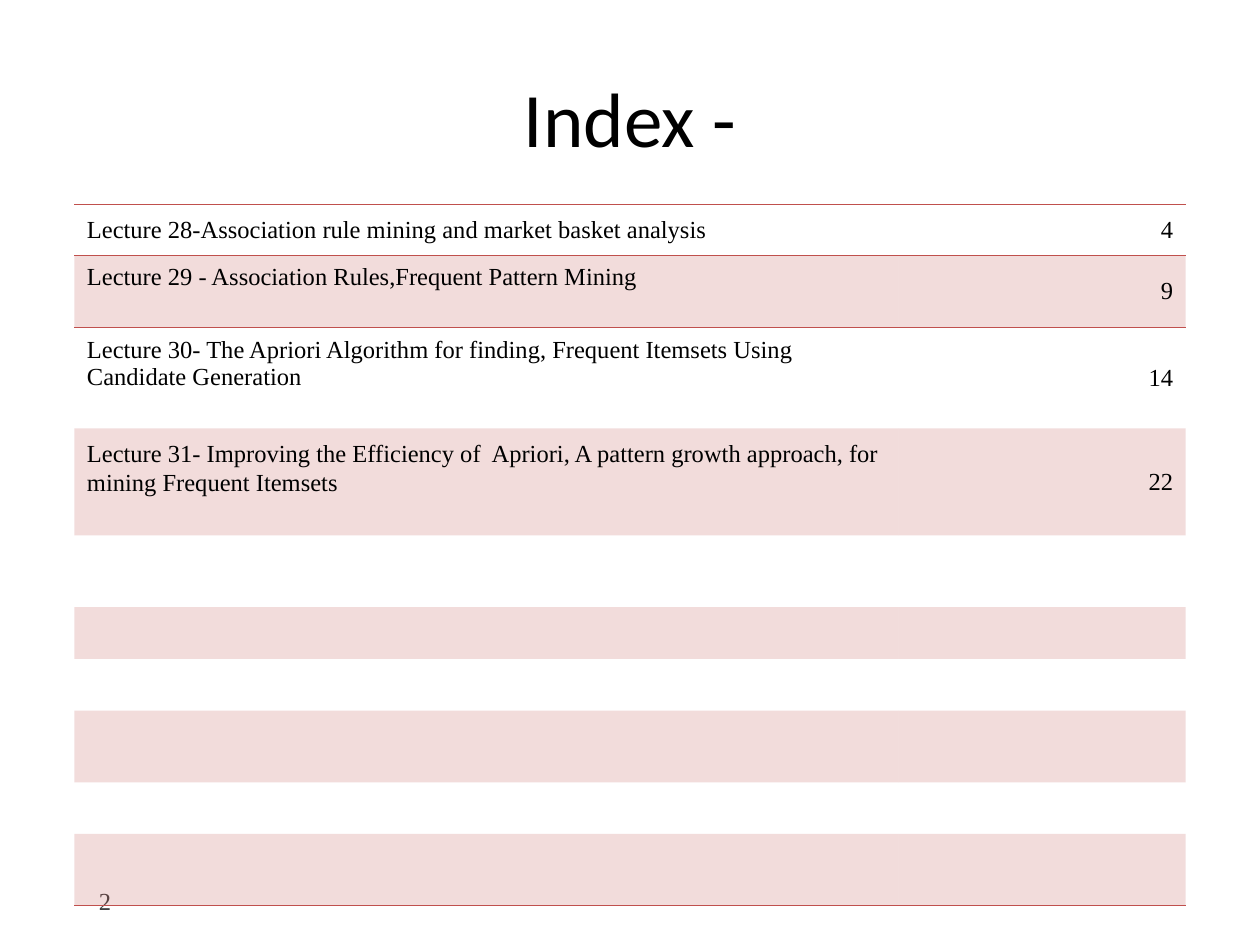
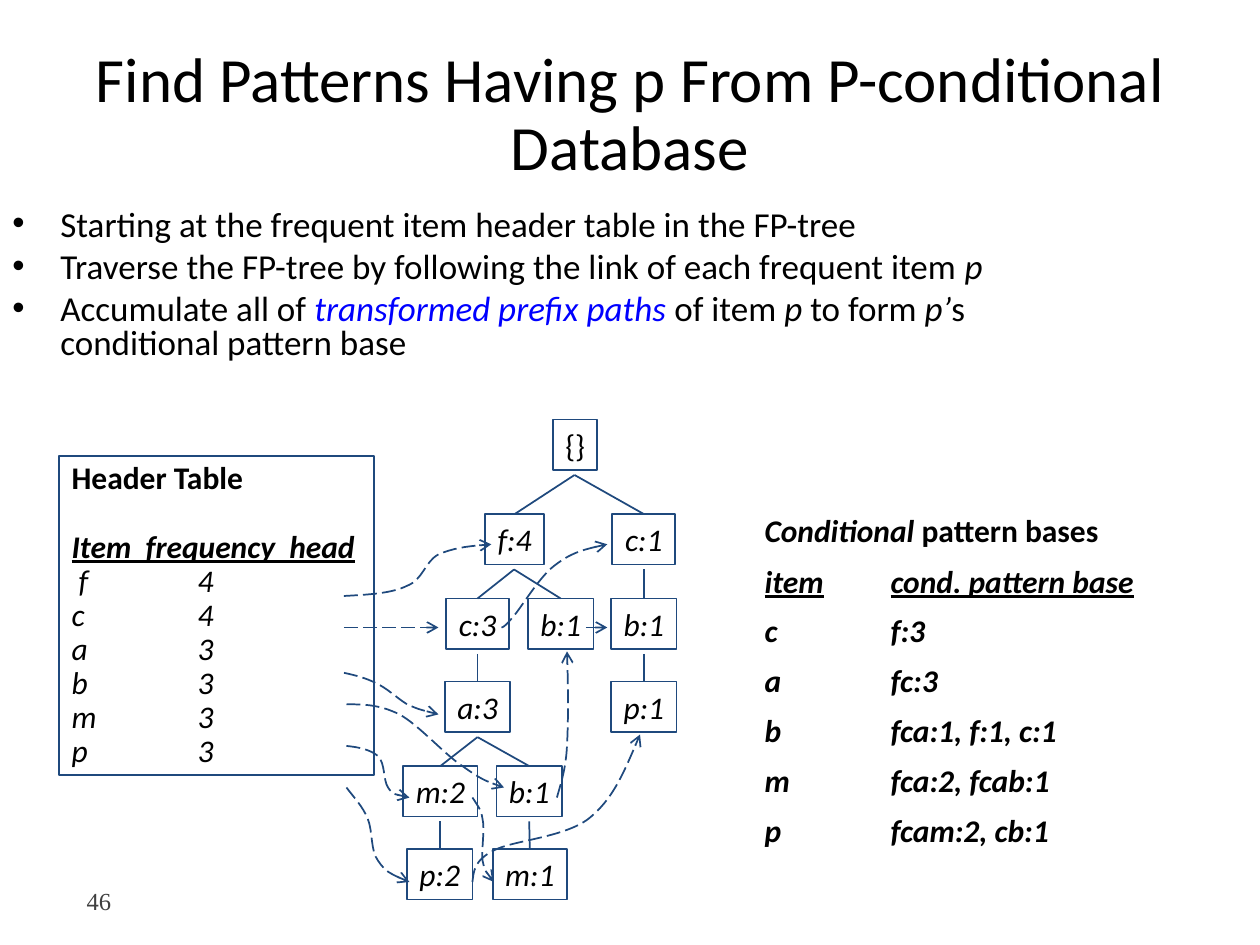
"""Builds an index slide and an FP-tree slide."""
from lxml import etree
from pptx import Presentation
from pptx import util as u
from pptx.dml.color import RGBColor
from pptx.enum import dml, shapes, text
from pptx.oxml.ns import qn

SCALE = 9144
BLACK, GREY, NAVY, BLUE, RED = "000000", "404040", "1F497D", "0000FF", "C0504D"
SANS, SERIF = "Calibri", "Times New Roman"
LEFT, CENTER, RIGHT = text.PP_ALIGN.LEFT, text.PP_ALIGN.CENTER, text.PP_ALIGN.RIGHT
TOP, MIDDLE = text.MSO_ANCHOR.TOP, text.MSO_ANCHOR.MIDDLE
PLAIN_TABLE = "{2D5ABB26-0587-4C30-8999-92F81FD0307C}"

LECTURES = [
    ("Lecture 28-Association rule mining and market basket analysis", "4"),
    ("Lecture 29 - Association Rules,Frequent Pattern Mining", "9"),
    ("Lecture 30- The Apriori Algorithm for finding, Frequent Itemsets Using Candidate Generation", "14"),
    ("Lecture 31- Improving the Efficiency of  Apriori, A pattern growth approach, for mining Frequent Itemsets", "22"),
]
ROW_HEIGHTS = [41, 57, 80, 85, 57, 41, 41, 57, 41, 57]
COLUMN_WIDTHS = [654, 228]

STEPS = [
    [("Starting at the frequent item header table in the FP-tree", "")],
    [("Traverse the FP-tree by following the link of each frequent item ", ""), ("p", "i")],
    [("Accumulate all of ", ""), ("transformed prefix paths", "ih"), (" of item ", ""),
     ("p ", "i"), ("to form ", ""), ("p’", "i"), ("s conditional pattern base", "")],
]
PATTERN_BASES = ["c\tf:3", "a\tfc:3", "b\tfca:1, f:1, c:1", "m\tfca:2, fcab:1", "p\tfcam:2, cb:1"]
FREQUENCIES = [" f\t4", "c\t4", "a\t3", "b\t3", "m\t3", "p\t3"]

LEVELS = [333, 408, 475, 541, 608, 674]
NODES = {
    "root": ("{}", 439, 0, 35), "f": ("f:4", 385, 1, 47), "c right": ("c:1", 486, 1, 50),
    "c left": ("c:3", 354, 2, 50), "b middle": ("b:1", 419, 2, 52), "b right": ("b:1", 485, 2, 52),
    "a": ("a:3", 353, 3, 52), "p right": ("p:1", 485, 3, 52),
    "m left": ("m:2", 320, 4, 59), "b low": ("b:1", 394, 4, 52),
    "p left": ("p:2", 323, 5, 52), "m low": ("m:1", 391, 5, 59),
}
BRANCHES = [
    ("root", "f"), ("root", "c right"), ("f", "c left"), ("f", "b middle"),
    ("c right", "b right"), ("b right", "p right"), ("c left", "a"),
    ("a", "m left"), ("a", "b low"), ("m left", "p left"), ("b low", "m low"),
]
STRAIGHT_LINKS = [(273, 498, 348, 498), (465, 498, 482, 498)]
CURVED_LINKS = [
    [(273, 473), (292, 472), (311, 471), (323, 465), (336, 460), (337, 446), (348, 440),
     (360, 435), (375, 433), (390, 432)],
    [(398, 498), (399, 498), (400, 498), (407, 490), (414, 482), (428, 458), (440, 449),
     (453, 439), (467, 435), (482, 432)],
    [(273, 534), (282, 536), (290, 538), (298, 542), (307, 546), (315, 554), (323, 559),
     (332, 563), (340, 565), (348, 567)],
    [(275, 559), (288, 559), (301, 559), (317, 567), (332, 575), (353, 599), (367, 608),
     (381, 618), (390, 622), (400, 625)],
    [(442, 633), (445, 622), (449, 611), (450, 592), (451, 572), (451, 545), (450, 517)],
    [(275, 592), (285, 593), (294, 595), (300, 600), (306, 606), (304, 619), (308, 625),
     (312, 631), (319, 632), (325, 633)],
    [(375, 633), (378, 638), (382, 642), (383, 650), (385, 658), (382, 675), (383, 683),
     (385, 692), (388, 696), (392, 700)],
    [(275, 625), (281, 633), (288, 640), (292, 650), (296, 660), (294, 675), (300, 683),
     (306, 692), (315, 696), (325, 700)],
    [(375, 700), (376, 692), (376, 683), (392, 675), (407, 667), (447, 665), (467, 650),
     (486, 635), (497, 609), (508, 583)],
]


def px(length):
    """Turn a length in px into EMU."""
    return u.Emu(length * SCALE)


def paint(code):
    """Turn a hex string into a colour."""
    return RGBColor.from_string(code)


def add_xml(parent, tag, **attributes):
    """Append a drawing element to a parent."""
    return etree.SubElement(parent, qn(tag), attributes)


def style_span(span, size, face=SANS, color=BLACK, marks=""):
    """Format one run; marks are b, i, u and h for highlight."""
    font = span.font
    font.name, font.size = face, u.Pt(size)
    font.bold, font.italic, font.underline = "b" in marks, "i" in marks, "u" in marks
    font.color.rgb = paint(BLUE if "h" in marks else color)


def fill_text(box, paras, size, face=SANS, color=BLACK, align=LEFT, anchor=TOP, wrap=True):
    """Write paragraphs of (text, marks) spans and return them."""
    frame = box.text_frame
    frame.word_wrap, frame.vertical_anchor = wrap, anchor
    for index, spans in enumerate(paras):
        para = frame.add_paragraph() if index else frame.paragraphs[0]
        para.alignment = align
        for words, marks in spans:
            span = para.add_run()
            span.text = words
            style_span(span, size, face, color, marks)
    return frame.paragraphs


def add_text(page, place, paras, size, **options):
    """Add a text box and return its paragraphs."""
    box = page.shapes.add_textbox(*map(px, place))
    return fill_text(box, paras, size, **options)


def add_page(deck, title, size, number):
    """Add a page with its title and page number."""
    page = deck.slides.add_slide(deck.slide_layouts[6])
    heading = add_text(page, (50, 30, 900, 125), [[(title, "")]], size, align=CENTER, anchor=MIDDLE)
    add_text(page, (46, 695, 52, 40), [[(number, "")]], 14, face=SERIF, color=GREY,
             align=RIGHT, anchor=MIDDLE)
    return page, heading[0]


def add_frame(page, place):
    """Add an outlined rectangle without fill."""
    box = page.shapes.add_shape(shapes.MSO_SHAPE.RECTANGLE, *map(px, place))
    box.shadow.inherit = False
    box.fill.background()
    draw_line(box)
    return box


def draw_line(shape, arrow=False):
    """Give a shape the tree's line, or a dashed arrow."""
    shape.line.color.rgb = paint(NAVY)
    shape.line.width = u.Pt(1)
    if arrow:
        shape.line.dash_style = dml.MSO_LINE.LONG_DASH
        add_xml(shape.line._get_or_add_ln(), "a:tailEnd", type="arrow")


def add_straight(page, ends, arrow=False):
    """Add a straight connector."""
    line = page.shapes.add_connector(shapes.MSO_CONNECTOR.STRAIGHT, *map(px, ends))
    draw_line(line, arrow)
    add_xml(line._element.spPr, "a:effectLst")
    return line


def add_curve(page, points):
    """Add a dashed arrow through cubic curves, three points each."""
    builder = page.shapes.build_freeform(*points[0], scale=SCALE)
    builder.add_line_segments(points[1:], close=False)
    curve = builder.convert_to_shape()
    curve.shadow.inherit = False
    curve.fill.background()
    draw_line(curve, arrow=True)
    track = next(curve._element.iter(qn("a:path")))
    steps = track.findall(qn("a:lnTo"))
    for index, step in enumerate(steps):
        if index % 3 == 0:
            bend = add_xml(track, "a:cubicBezTo")
        bend.append(step[0])
        track.remove(step)


def add_tabs(paras):
    """Set a tab stop one inch in."""
    for para in paras:
        stops = add_xml(para._p.get_or_add_pPr(), "a:tabLst")
        add_xml(stops, "a:tab", pos=str(px(100)), algn="l")


def add_rule(cell, side):
    """Draw a thin border on one side of a cell."""
    line = etree.Element(qn(side), w=str(u.Pt(0.45)))
    add_xml(add_xml(line, "a:solidFill"), "a:srgbClr", val=RED)
    cell._tc.get_or_add_tcPr().insert(0, line)


def shade(cell, banded):
    """Tint a banded cell and clear any other."""
    if not banded:
        cell.fill.background()
        return
    cell.fill.solid()
    cell.fill.fore_color.rgb = paint(RED)
    add_xml(next(cell._tc.tcPr.iter(qn("a:srgbClr"))), "a:alpha", val="20000")


def add_index(page):
    """Add the table of lectures and page numbers."""
    holder = page.shapes.add_table(len(ROW_HEIGHTS), 2, *map(px, (59, 162, 882, sum(ROW_HEIGHTS))))
    table = holder.table
    table.first_row = table.horz_banding = False
    table._tbl.tblPr.find(qn("a:tableStyleId")).text = PLAIN_TABLE
    for column, width in zip(table.columns, COLUMN_WIDTHS):
        column.width = px(width)
    last = len(ROW_HEIGHTS) - 1
    for index, height in enumerate(ROW_HEIGHTS):
        table.rows[index].height = px(height)
        for cell in table.rows[index].cells:
            shade(cell, index % 2 == 1)
            if index in (0, last):
                add_rule(cell, "a:lnB")
            if index in (0, 1):
                add_rule(cell, "a:lnT")
    for index, entry in enumerate(LECTURES):
        for column, align in enumerate((LEFT, RIGHT)):
            cell = table.cell(index, column)
            cell.vertical_anchor = MIDDLE
            para = cell.text_frame.paragraphs[0]
            para.text, para.alignment = entry[column], align
            style_span(para.runs[0], 14, SERIF)
        if index:
            table.cell(index, 0).margin_bottom = px(28)
    table.cell(3, 0).text_frame.paragraphs[0].line_spacing = 1.1


def add_steps(page):
    """Add the bulleted steps."""
    paras = add_text(page, (0, 162, 882, 441), STEPS, 20)
    for index, para in enumerate(paras):
        para.line_spacing = 0.8
        para.space_before = u.Pt(5 if index else 0)
        layout = para._p.get_or_add_pPr()
        layout.set("marL", str(px(38)))
        layout.set("indent", str(px(-38)))
        add_xml(layout, "a:buFont", typeface="Arial")
        add_xml(layout, "a:buChar", char="•")


def add_pattern_bases(page):
    """Add the list of conditional pattern bases."""
    lines = [[("Conditional ", "bi"), ("pattern bases", "b")], [("item\tcond. pattern base", "biu")]]
    lines += [[(line, "bi")] for line in PATTERN_BASES]
    paras = add_text(page, (597, 401, 364, 278), lines, 18)
    for para in paras[1:]:
        para.line_spacing, para.space_before = 0.8, u.Pt(11.2)
    add_tabs(paras)


def add_header_table(page):
    """Add the framed list of item frequencies."""
    lines = [[("Header Table", "b")], [("Item  frequency  head", "biu")]]
    lines += [[(line, "i")] for line in FREQUENCIES]
    paras = fill_text(add_frame(page, (47, 362, 250, 253)), lines, 18)
    for para in paras:
        para.line_spacing = 0.9
    paras[1].space_before = u.Pt(19.8)
    add_tabs(paras)


def add_tree(page):
    """Add the nodes of the FP-tree and their branches."""
    boxes = {}
    for name, (label, left, level, width) in NODES.items():
        boxes[name] = add_frame(page, (left, LEVELS[level], width, 40))
        marks = "" if name == "root" else "i"
        fill_text(boxes[name], [[(label, marks)]], 18, align=CENTER, wrap=False)
    for parent, child in BRANCHES:
        _, left, level, width = NODES[parent]
        start = (left + width // 2, LEVELS[level] + 44)
        add_straight(page, start + start).end_connect(boxes[child], 0)


def main():
    """Build and save the deck."""
    deck = Presentation()
    deck.slide_width, deck.slide_height = px(1000), px(750)
    page, _ = add_page(deck, "Index -", 44, "2")
    add_index(page)
    page, heading = add_page(deck, "Find Patterns Having p From P-conditional Database", 36, "46")
    heading.line_spacing = 0.9
    add_steps(page)
    add_pattern_bases(page)
    add_tree(page)
    add_header_table(page)
    for ends in STRAIGHT_LINKS:
        add_straight(page, ends, arrow=True)
    for points in CURVED_LINKS:
        add_curve(page, points)
    deck.save("out.pptx")


if __name__ == "__main__":
    main()
